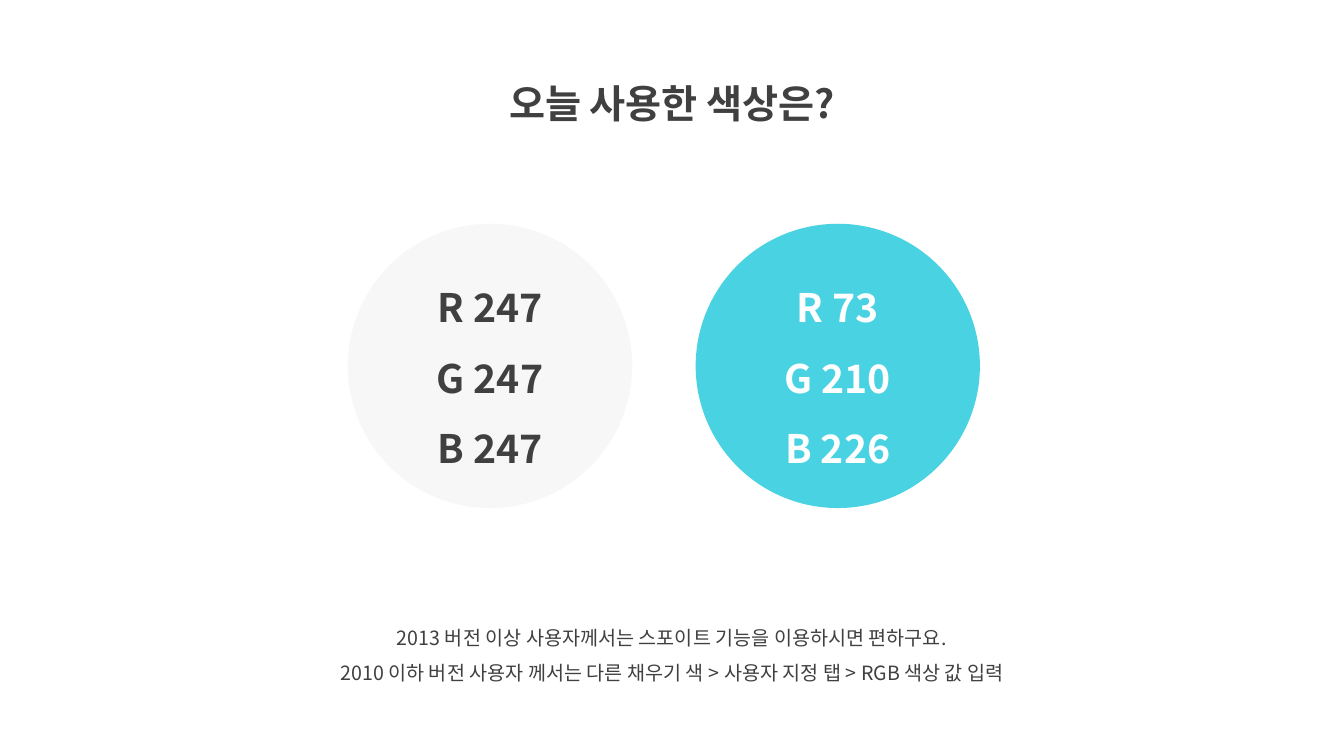
from dataclasses import dataclass

from lxml import etree
from pptx import Presentation
from pptx.dml.color import RGBColor
from pptx.enum.shapes import MSO_SHAPE
from pptx.enum.text import MSO_ANCHOR, MSO_AUTO_SIZE, PP_ALIGN
from pptx.oxml.ns import qn
from pptx.util import Inches, Pt

OVAL = MSO_SHAPE.OVAL
CENTER = PP_ALIGN.CENTER
MIDDLE = MSO_ANCHOR.MIDDLE
GROW = MSO_AUTO_SIZE.SHAPE_TO_FIT_TEXT

SLIDE_W, SLIDE_H = Inches(13.33), Inches(7.5)


@dataclass(frozen=True)
class Theme:
    font: str = "Noto Sans CJK KR"
    dark: RGBColor = RGBColor(64, 64, 64)
    white: RGBColor = RGBColor(255, 255, 255)
    large: int = 28
    small: int = 14
    line_spacing: float = 1.5


THEME = Theme()

TITLE = "오늘 사용한 색상은?"
NOTES = [
    "2013 버전 이상 사용자께서는 스포이트 기능을 이용하시면 편하구요.",
    "2010 이하 버전 사용자 께서는 다른 채우기 색 > 사용자 지정 탭 > RGB 색상 값 입력",
]
SWATCHES = [((247, 247, 247), THEME.dark), ((73, 210, 226), THEME.white)]

# Swatch grid, in percent of the slide: the margin equals the pitch.
SWATCH_PITCH, SWATCH_TOP = 25.88, 29.6
SWATCH_W, SWATCH_H = 21.15, 37.6


def box(left, top, width, height):
    """Turn percentages of the slide into lengths."""
    return [int(share * side / 100) for share, side in
            ((left, SLIDE_W), (top, SLIDE_H), (width, SLIDE_W), (height, SLIDE_H))]


def write_lines(tf, lines, size, color, bold=False):
    tf.word_wrap = True
    tf.text = "\n".join(lines)
    for p in tf.paragraphs:
        p.alignment = CENTER
        p.line_spacing = THEME.line_spacing
        for r in p.runs:
            r.font.size = Pt(size)
            r.font.bold = bold
            r.font.color.rgb = color
            r.font.name = THEME.font
            ea = etree.SubElement(r.font._element, qn("a:ea"))
            ea.set("typeface", THEME.font)


def add_centered_text(s, lines, top, width, height, size, bold=False):
    """Add a text box centred across the slide."""
    tf = s.shapes.add_textbox(*box((100 - width) / 2, top, width, height)).text_frame
    write_lines(tf, lines, size, THEME.dark, bold)
    tf.auto_size = GROW


def add_swatch(s, column, rgb, text_color):
    """Add a circle filled with a colour and labelled with its RGB values."""
    left = SWATCH_PITCH * (column + 1)
    sp = s.shapes.add_shape(OVAL, *box(left, SWATCH_TOP, SWATCH_W, SWATCH_H))
    sp.shadow.inherit = False
    sp.fill.solid()
    sp.fill.fore_color.rgb = RGBColor(*rgb)
    sp.line.fill.background()
    sp.text_frame.vertical_anchor = MIDDLE
    lines = [f"{channel} {value}" for channel, value in zip("RGB", rgb)]
    write_lines(sp.text_frame, lines, THEME.large, text_color, bold=True)


def main():
    prs = Presentation()
    prs.slide_width, prs.slide_height = SLIDE_W, SLIDE_H
    s = prs.slides.add_slide(prs.slide_layouts[6])
    add_centered_text(s, [TITLE], 6.67, 34.73, 9.6, THEME.large, bold=True)
    for column, (rgb, text_color) in enumerate(SWATCHES):
        add_swatch(s, column, rgb, text_color)
    add_centered_text(s, NOTES, 80.53, 59.94, 10.8, THEME.small)
    prs.save("out.pptx")


if __name__ == "__main__":
    main()
